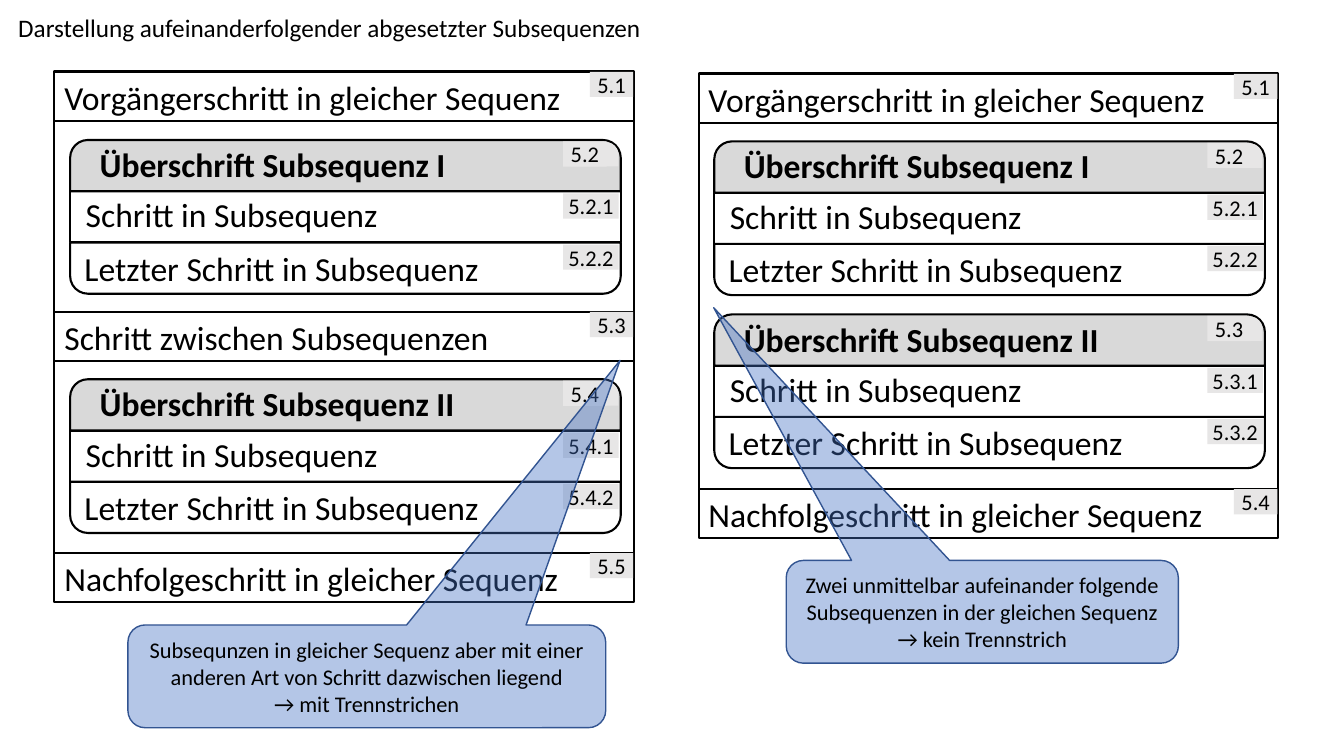
from dataclasses import dataclass

from lxml.etree import SubElement
from pptx import Presentation
from pptx.dml.color import RGBColor
from pptx.enum.shapes import MSO_CONNECTOR, MSO_SHAPE
from pptx.enum.text import MSO_ANCHOR, MSO_AUTO_SIZE, PP_ALIGN
from pptx.oxml.ns import qn
from pptx.util import Pt

BLACK, WHITE, HEADING, BADGE = "000000", "FFFFFF", "D9D9D9", "E7E6E6"
CALLOUT_FILL, CALLOUT_LINE = "4472C4", "325491"
FRAME_W, STEP_H = 414, 35.2
SUB_W, ROW_H, TEXT_H = 393.3, 36.6, 36
CORNER = 0.346


@dataclass
class Step:
    """A step of the main sequence."""
    y: float
    text: str
    number: str


@dataclass
class Subsequence:
    """A rounded block with a heading and two steps."""
    y: float
    text: str
    text_w: float
    number: str


@dataclass
class Callout:
    """An explanation that points into a sequence."""
    box: tuple[float, float, float, float]
    tip: tuple[float, float]
    lines: tuple[str, str]


@dataclass
class Sequence:
    """A framed main sequence with its explanation."""
    x: float
    steps: list[Step]
    subs: list[Subsequence]
    callout: Callout


FIRST = "Vorgängerschritt in gleicher Sequenz"
LAST = "Nachfolgeschritt in gleicher Sequenz"
SUB_I = ("Überschrift Subsequenz I", 268.6)
SUB_II = ("Überschrift Subsequenz II", 305.3)

SEQUENCES = [
    Sequence(
        499,
        [Step(52.5, FIRST, "5.1"), Step(349.2, LAST, "5.4")],
        [Subsequence(101, *SUB_I, "5.2"), Subsequence(224.6, *SUB_II, "5.3")],
        Callout((561.6, 400.3, 280.1, 73.4), (-0.685, -2.96),
                ("Zwei unmittelbar aufeinander folgende Subsequenzen in der gleichen Sequenz",
                 "→ kein Trennstrich"))),
    Sequence(
        38.9,
        [Step(51.1, FIRST, "5.1"), Step(222.6, "Schritt zwischen Subsequenzen", "5.3"),
         Step(394.8, LAST, "5.5")],
        [Subsequence(100, *SUB_I, "5.2"), Subsequence(270.9, *SUB_II, "5.4")],
        Callout((91.4, 446.4, 341.3, 73.4), (0.53, -3.075),
                ("Subsequnzen in gleicher Sequenz aber mit einer anderen Art von Schritt "
                 "dazwischen liegend", "→ mit Trennstrichen"))),
]


def rgb(color: str) -> RGBColor:
    """Turn a hex string into a colour."""
    return RGBColor.from_string(color)


def add_run(p, text: str, size: float, bold: bool = False) -> None:
    """Add one black run to a paragraph."""
    r = p.add_run()
    r.text = text
    r.font.name, r.font.size, r.font.bold = "Calibri", Pt(size), bold
    r.font.color.rgb = rgb(BLACK)


def add_box(kind, x: float, y: float, w: float, h: float, fill: str,
            line: str | None = BLACK, weight: float = 1.5, adj: tuple = ()):
    """Add a flat preset shape."""
    sp = s.shapes.add_shape(kind, Pt(x), Pt(y), Pt(w), Pt(h))
    sp.shadow.inherit = False
    sp.fill.solid()
    sp.fill.fore_color.rgb = rgb(fill)
    if line:
        sp.line.color.rgb = rgb(line)
        sp.line.width = Pt(weight)
    else:
        sp.line.fill.background()
    for i, value in enumerate(adj):
        sp.adjustments[i] = value
    return sp


def add_text(x: float, y: float, w: float, text: str, bold: bool = False) -> None:
    """Add a one-line label."""
    tf = s.shapes.add_textbox(Pt(x), Pt(y), Pt(w), Pt(TEXT_H)).text_frame
    tf.word_wrap = True
    add_run(tf.paragraphs[0], text, 24, bold)


def add_badge(x: float, y: float, number: str, w: float = 31) -> None:
    """Add a grey number badge."""
    tf = add_box(MSO_SHAPE.RECTANGLE, x, y, w, 18, BADGE, None).text_frame
    tf.margin_left = tf.margin_right = Pt(2.8)
    tf.vertical_anchor = MSO_ANCHOR.MIDDLE
    p = tf.paragraphs[0]
    p.alignment = PP_ALIGN.CENTER
    add_run(p, number, 16)


def add_rule(x: float, y: float, w: float) -> None:
    """Add a horizontal black line."""
    line = s.shapes.add_connector(MSO_CONNECTOR.STRAIGHT, Pt(x), Pt(y), Pt(x + w), Pt(y))
    line.line.color.rgb = rgb(BLACK)
    line.line.width = Pt(1.5)
    SubElement(line._element.spPr, qn("a:effectLst"))


def add_step(x: float, step: Step) -> None:
    """Add a step of the main sequence."""
    add_box(MSO_SHAPE.RECTANGLE, x, step.y, FRAME_W, STEP_H, WHITE)
    add_text(x, step.y, 376.6, step.text)
    add_badge(x + 382.4, step.y + 0.2, step.number)


def add_subsequence(x: float, sub: Subsequence) -> None:
    """Add a subsequence: middle row, heading, then last row."""
    y, badge_x = sub.y, x + 352.2
    y2, y3 = y + ROW_H, y + 2 * ROW_H
    add_box(MSO_SHAPE.RECTANGLE, x, y2, SUB_W, ROW_H, WHITE)
    add_rule(x, y3, SUB_W)
    add_box(MSO_SHAPE.ROUND_2_SAME_RECTANGLE, x, y, SUB_W, ROW_H, HEADING, adj=(CORNER, 0))
    add_text(x + 14, y - 0.7, sub.text_w, sub.text, True)
    add_box(MSO_SHAPE.ROUND_2_SAME_RECTANGLE, x + 357.8, y + 1.6, 33.8, 17.3, BADGE, None,
            adj=(0.5, 0))
    add_badge(badge_x, y + 1, sub.number)
    add_text(x + 4, y2 - 1.4, 278.6, "Schritt in Subsequenz")
    add_badge(badge_x, y2 + 1.5, f"{sub.number}.1", 39.6)
    last = add_box(MSO_SHAPE.ROUND_2_SAME_RECTANGLE, x, y3, SUB_W, ROW_H, WHITE,
                   adj=(CORNER, 0))
    last.rotation = 180
    add_badge(badge_x, y3 + 1.5, f"{sub.number}.2", 39.6)
    add_text(x + 3.2, y3, 316, "Letzter Schritt in Subsequenz")


def add_callout(callout: Callout) -> None:
    """Add a translucent speech bubble."""
    sp = add_box(MSO_SHAPE.ROUNDED_RECTANGULAR_CALLOUT, *callout.box, CALLOUT_FILL,
                 CALLOUT_LINE, 1, (*callout.tip, 0.167))
    color = next(sp._element.spPr.iter(qn("a:srgbClr")))
    SubElement(color, qn("a:alpha")).set("val", "40000")
    tf = sp.text_frame
    tf.word_wrap = True
    tf.vertical_anchor = MSO_ANCHOR.MIDDLE
    for i, text in enumerate(callout.lines):
        p = tf.add_paragraph() if i else tf.paragraphs[0]
        p.alignment = PP_ALIGN.CENTER
        add_run(p, text, 16)


def add_sequence(seq: Sequence) -> None:
    """Add a frame with its steps, subsequences and callout."""
    top, bottom = seq.steps[0].y + STEP_H, seq.steps[-1].y
    add_box(MSO_SHAPE.RECTANGLE, seq.x, top, FRAME_W, bottom - top, WHITE)
    for step in seq.steps:
        add_step(seq.x, step)
    for sub in seq.subs:
        add_subsequence(seq.x + 11.2, sub)
    add_callout(seq.callout)


prs = Presentation()
prs.slide_width, prs.slide_height = Pt(960), Pt(540)
s = prs.slides.add_slide(prs.slide_layouts[5])
title = s.shapes.title
title.left, title.top, title.width, title.height = Pt(5.8), Pt(5), Pt(465.8), Pt(29)
tf = title.text_frame
tf.word_wrap = True
tf.auto_size = MSO_AUTO_SIZE.NONE
tf.vertical_anchor = MSO_ANCHOR.TOP
tf.paragraphs[0].alignment = PP_ALIGN.LEFT
add_run(tf.paragraphs[0], "Darstellung aufeinanderfolgender abgesetzter Subsequenzen", 18)
for seq in SEQUENCES:
    add_sequence(seq)
prs.save("out.pptx")
